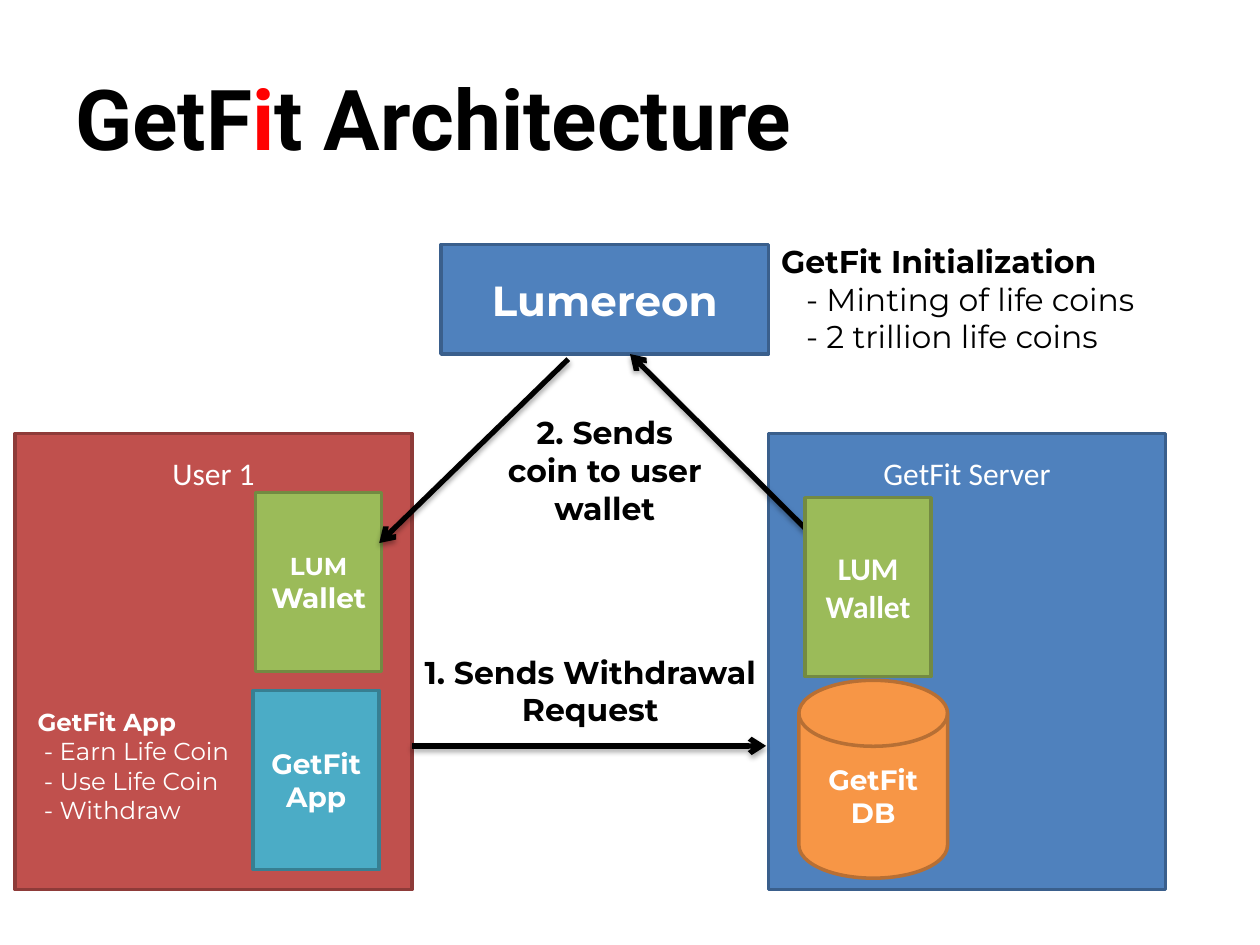
import lxml.etree
import pptx
import pptx.dml.color
import pptx.enum.shapes
import pptx.enum.text
import pptx.oxml.ns
import pptx.util

Inches = pptx.util.Inches
Pt = pptx.util.Pt
Shape = pptx.enum.shapes.MSO_SHAPE
Anchor = pptx.enum.text.MSO_ANCHOR
Align = pptx.enum.text.PP_ALIGN
qn = pptx.oxml.ns.qn

COLORS = {
    "black": "000000", "white": "FFFFFF", "accent": "FF0000",
    "blue": "4F81BD", "blue_edge": "3A5F8C",
    "red": "C0504D", "red_edge": "8E3B39",
    "teal": "4BACC6", "teal_edge": "377F92",
    "orange": "F79646", "orange_edge": "B76F34",
    "green": "9BBB59", "green_edge": "738A42",
}

TITLE = [("GetF", "black"), ("i", "accent"), ("t Architecture", "black")]

PANEL_TOP, PANEL_SIZE, PANEL_INSET = 3.44, (3.15, 3.62), 0.16
PANELS = [("GetFit Server", 6.1, "blue"), ("User 1", 0.12, "red")]

WALLET_SIZE = (1, 1.42)
COMPONENTS = [
    (["Lumereon"], Shape.RECTANGLE, (3.5, 1.94, 2.6, 0.87), "blue", "Montserrat", [24]),
    (["GetFit", "App"], Shape.RECTANGLE, (2.01, 5.48, *WALLET_SIZE), "teal", "Montserrat", [16, 16]),
    (["GetFit", "DB"], Shape.FLOWCHART_MAGNETIC_DISK, (6.34, 5.4, 1.18, 1.57), "orange", "Montserrat", [16, 16]),
    (["LUM", "Wallet"], Shape.RECTANGLE, (2.03, 3.91, *WALLET_SIZE), "green", "Montserrat", [14, 16]),
]
SERVER_WALLET = (["LUM", "Wallet"], Shape.RECTANGLE, (6.39, 3.95, *WALLET_SIZE), "green", "Calibri", [18, 18])

LISTS = [
    ("GetFit Initialization", ["- Minting of life coins", "- 2 trillion life coins"],
     (6.1, 1.87, 3.08, 1.01), 18, "black", 0.2),
    ("GetFit App", ["- Earn Life Coin", "- Use Life Coin", "- Withdraw"],
     (0.2, 5.56, 1.74, 1.04), 14, "white", 0.05),
]

STEPS = [
    (["1. Sends Withdrawal", "Request"], (3.21, 5.13, 2.95, 0.71), False),
    (["2. Sends coin to user wallet"], (3.9, 3.23, 1.8, 1.01), True),
]

ARROWS = [
    ((3.27, 5.92), (6.08, 5.92)),
    ((6.97, 4.77), (5, 2.81)),
    ((4.51, 2.85), (3.01, 4.31)),
]


def rgb(name):
    return pptx.dml.color.RGBColor.from_string(COLORS[name])


def style_run(run, font, size, color, bold):
    run.font.name = font
    run.font.size = Pt(size)
    run.font.bold = bold
    run.font.color.rgb = rgb(color)


def write_lines(frame, lines, font, sizes, color, bolds, align):
    frame.text = "\n".join(lines)
    for para, size, bold in zip(frame.paragraphs, sizes, bolds):
        para.alignment = align
        for run in para.runs:
            style_run(run, font, size, color, bold)


def add_block(slide, kind, at, color):
    block = slide.shapes.add_shape(kind, *map(Inches, at))
    block.shadow.inherit = False
    block.fill.solid()
    block.fill.fore_color.rgb = rgb(color)
    block.line.color.rgb = rgb(color + "_edge")
    block.line.width = Pt(2)
    return block


def add_panel(slide, label, left, color):
    panel = add_block(slide, Shape.RECTANGLE, (left, PANEL_TOP, *PANEL_SIZE), color)
    frame = panel.text_frame
    frame.vertical_anchor = Anchor.TOP
    frame.margin_top = Inches(PANEL_INSET)
    write_lines(frame, [label], "Calibri", [18], "white", [False], Align.CENTER)


def add_component(slide, lines, kind, at, color, font, sizes):
    frame = add_block(slide, kind, at, color).text_frame
    frame.vertical_anchor = Anchor.MIDDLE
    write_lines(frame, lines, font, sizes, "white", [True] * len(lines), Align.CENTER)


def add_text_frame(slide, at, wrap):
    frame = slide.shapes.add_textbox(*map(Inches, at)).text_frame
    frame.word_wrap = wrap
    return frame


def add_title(slide):
    frame = add_text_frame(slide, (0.5, 0.3, 9, 1.25), True)
    frame.vertical_anchor = Anchor.MIDDLE
    for text, color in TITLE:
        run = frame.paragraphs[0].add_run()
        run.text = text
        style_run(run, "Roboto", 48, color, True)


def add_list(slide, heading, items, at, size, color, indent):
    frame = add_text_frame(slide, at, False)
    lines = [heading, *items]
    bolds = [True] + [False] * len(items)
    write_lines(frame, lines, "Montserrat", [size] * len(lines), color, bolds, Align.LEFT)
    for para in frame.paragraphs[1:]:
        para._p.get_or_add_pPr().set("marL", str(Inches(indent)))


def add_step(slide, lines, at, wrap):
    frame = add_text_frame(slide, at, wrap)
    count = len(lines)
    write_lines(frame, lines, "Montserrat", [18] * count, "black", [True] * count, Align.CENTER)


def add_arrow(slide, start, end):
    arrow = slide.shapes.add_connector(
        pptx.enum.shapes.MSO_CONNECTOR.STRAIGHT, *map(Inches, start + end))
    arrow.line.color.rgb = rgb("black")
    arrow.line.width = Pt(3)
    lxml.etree.SubElement(arrow.line._get_or_add_ln(), qn("a:tailEnd"), type="arrow")
    effects = lxml.etree.SubElement(arrow._element.spPr, qn("a:effectLst"))
    shadow = lxml.etree.SubElement(
        effects, qn("a:outerShdw"), blurRad=str(Pt(3.1)), dist=str(Pt(1.8)),
        dir="5400000", rotWithShape="0")
    tint = lxml.etree.SubElement(shadow, qn("a:srgbClr"), val=COLORS["black"])
    lxml.etree.SubElement(tint, qn("a:alpha"), val="35000")


def main():
    deck = pptx.Presentation()
    deck.slide_width, deck.slide_height = Inches(10), Inches(7.5)
    slide = deck.slides.add_slide(deck.slide_layouts[6])
    add_title(slide)
    for panel in PANELS:
        add_panel(slide, *panel)
    for component in COMPONENTS:
        add_component(slide, *component)
    for entry in LISTS:
        add_list(slide, *entry)
    for arrow in ARROWS:
        add_arrow(slide, *arrow)
    for step in STEPS:
        add_step(slide, *step)
    add_component(slide, *SERVER_WALLET)
    deck.save("out.pptx")


if __name__ == "__main__":
    main()
